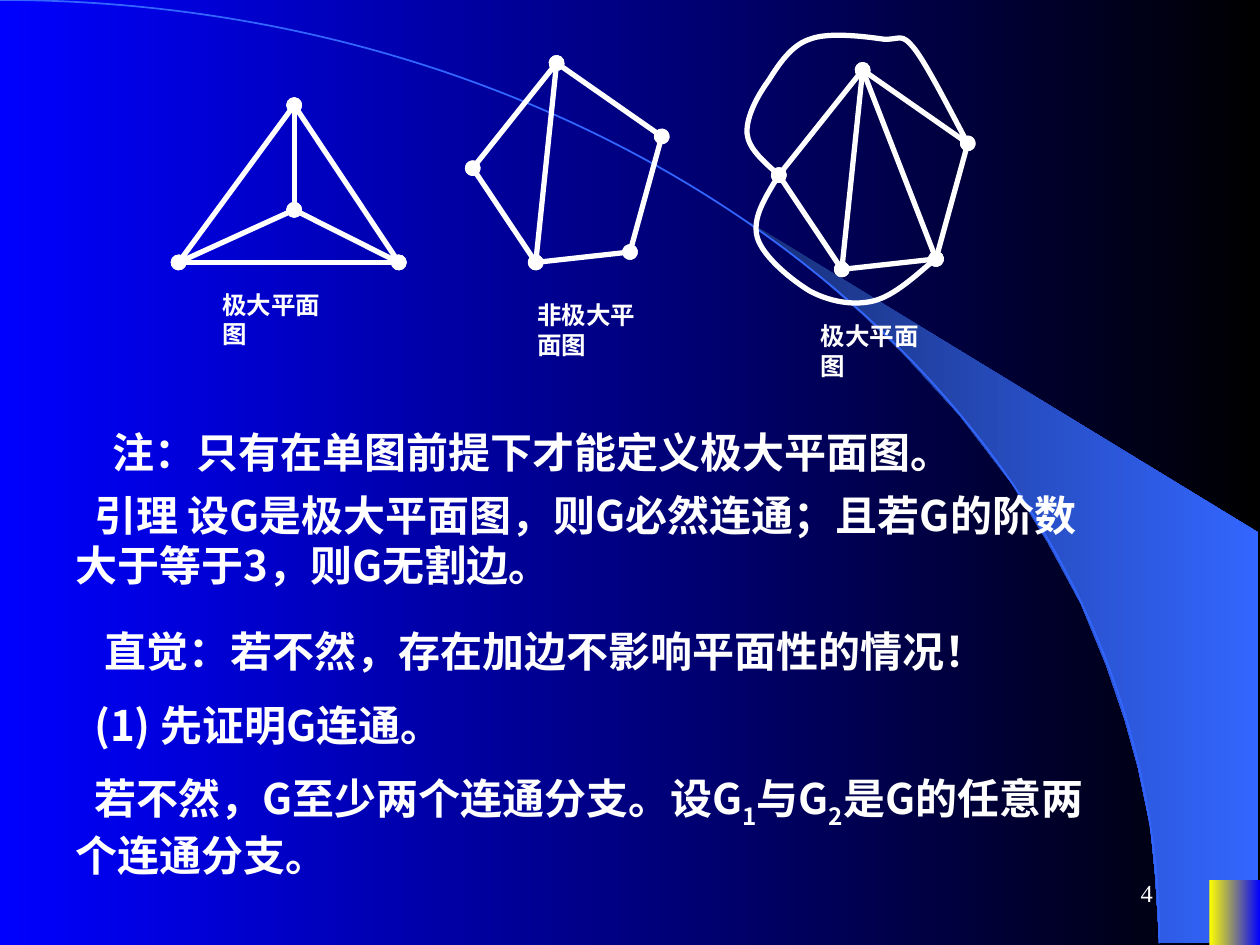
from lxml import etree
from pptx import Presentation
from pptx import util as u
from pptx.dml.color import RGBColor
from pptx.enum import shapes as kinds, text
from pptx.oxml.ns import qn

WHITE = "FFFFFF"
SANS, SERIF = "Noto Sans CJK SC", "Times New Roman"
rgb = RGBColor.from_string


def add_curve(shapes, start, segments, colour, width):
    """Draw an open chain of cubic Bezier segments, each (control, control, end)."""
    builder = shapes.build_freeform(u.Cm(start[0]), u.Cm(start[1]))
    builder.add_line_segments(
        [(u.Cm(x), u.Cm(y)) for segment in segments for x, y in segment], close=False)
    curve = builder.convert_to_shape()
    # Every three straight steps become one Bezier segment
    steps = list(curve._element.iter(qn("a:lnTo")))
    for i in range(0, len(steps), 3):
        bezier = etree.Element(qn("a:cubicBezTo"))
        steps[i].addprevious(bezier)
        for step in steps[i:i + 3]:
            bezier.append(step[0])
            step.getparent().remove(step)
    curve.shadow.inherit = False
    curve.fill.background()
    curve.line.fill.solid()
    curve.line.fill.fore_color.rgb = rgb(colour)
    curve.line.width = u.Pt(width)
    return curve


def add_text(shapes, box, runs, size, font, bold=True, indent=0):
    """Add one paragraph; every second run is a subscript."""
    frame = shapes.add_textbox(*map(u.Cm, box)).text_frame
    frame.word_wrap = True
    paragraph = frame.paragraphs[0]
    if indent:
        paragraph._p.get_or_add_pPr().set("indent", str(u.Cm(indent)))
    for i, wording in enumerate(runs):
        run = paragraph.add_run()
        run.text = wording
        if i % 2:
            run.font._element.set("baseline", "-25000")
    paragraph.font.size = u.Pt(size)
    paragraph.font.name = font
    paragraph.font.bold = bold
    paragraph.font.color.rgb = rgb(WHITE)
    return frame


prs = Presentation()
prs.slide_width, prs.slide_height = u.Cm(25.4), u.Cm(19.05)
slide = prs.slides.add_slide(prs.slide_layouts[6])

# Backdrop: a band behind a large arc, and a corner block
band_outline = [
    (23.37, 19), (25.37, 19.02), (25.37, 10.74), (14.96, 4.39), (15.85, 5.05),
    (16.59, 5.64), (17.4, 6.35), (18.19, 7.11), (19.35, 8.38), (20.4, 9.75),
    (21.13, 10.95), (21.79, 12.17), (22.3, 13.41), (22.68, 14.53),
    (22.94, 15.47), (23.19, 16.66), (23.29, 17.68),
]
band_corners = [(u.Cm(x), u.Cm(y)) for x, y in band_outline]
band_builder = slide.shapes.build_freeform(*band_corners[0])
band_builder.add_line_segments(band_corners[1:])
band = band_builder.convert_to_shape()
add_curve(slide.shapes, (0, 0), [((12.9, 0), (23.37, 8.51), (23.37, 19.02))], "3366FF", 1)
corner = slide.shapes.add_shape(kinds.MSO_SHAPE.RECTANGLE, u.Cm(24.38), u.Cm(17.74),
                                u.Cm(1.02), u.Cm(1.31))
for part in (band, corner):
    part.shadow.inherit = False
    part.line.fill.background()
for fill, colours in (
    (slide.background.fill, ("0000FF", "000000")),
    (band.fill, ("182F76", "3366FF")),
    (corner.fill, ("FFFF00", "0000FF")),
):
    fill.gradient()
    fill.gradient_angle = 0
    for stop, colour in zip(fill.gradient_stops, colours):
        stop.color.rgb = rgb(colour)

page_number = add_text(slide.shapes, (18.21, 17.36, 5.28, 1.27), ["4"], 14, SERIF, bold=False)
page_number.vertical_anchor = text.MSO_ANCHOR.MIDDLE
page_number.paragraphs[0].alignment = text.PP_ALIGN.RIGHT

# Statements: left, top, height, first-line indent, font, runs
statements = [
    (1.06, 8.47, 1.27, 0.95, SERIF, ["注：只有在单图前提下才能定义极大平面图。"]),
    (1.27, 9.74, 2.29, 0.38, SANS,
     ["引理 设G是极大平面图，则G必然连通；且若G的阶数大于等于3，则G无割边。"]),
    (1.48, 12.49, 1.27, 0.38, SANS, ["直觉：若不然，存在加边不影响平面性的情况！"]),
    (1.27, 13.97, 1.27, 0.38, SANS, ["(1) 先证明G连通。"]),
    (1.27, 15.45, 2.44, 0.38, SANS,
     ["若不然，G至少两个连通分支。设G", "1", "与G", "2", "是G的任意两个连通分支。"]),
]
for left, top, height, indent, font, runs in statements:
    add_text(slide.shapes, (left, top, 21.39, height), runs, 24, font, indent=indent)

# Three graphs: vertices, dotted edges, plain edges, caption and its corner
tetrahedron = {"A": (5.93, 2.12), "B": (3.6, 5.29), "C": (8.04, 5.29), "D": (5.93, 4.23)}
pentagon = {"A": (11.22, 1.27), "B": (9.53, 3.39), "C": (10.8, 5.29),
            "D": (13.34, 2.75), "E": (12.7, 5.08)}
shifted_pentagon = {name: (x + 6.17, y + 0.14) for name, (x, y) in pentagon.items()}
pentagon_edges = "AB BC AD DE CE AC"
graphs = [
    (tetrahedron, "AB AC BC AD DB DC", "", "极大平面图", (4.23, 5.72)),
    (pentagon, pentagon_edges, "", "非极大平面图", (10.58, 5.93)),
    (shifted_pentagon, pentagon_edges, "AE", "极大平面图", (16.3, 6.35)),
]
dotted = []
for vertices, dotted_edges, plain_edges, caption, caption_corner in graphs:
    graph = slide.shapes.add_group_shape()
    for start, end in (dotted_edges + " " + plain_edges).split():
        edge = graph.shapes.add_connector(
            kinds.MSO_CONNECTOR.STRAIGHT, *map(u.Cm, vertices[start] + vertices[end]))
        edge.line.fill.solid()
        edge.line.fill.fore_color.rgb = rgb(WHITE)
        edge.line.width = u.Pt(3)
        etree.SubElement(edge._element.spPr, qn("a:effectLst"))
        if start + end not in plain_edges:
            dotted.append(edge)
    add_text(graph.shapes, (*caption_corner, 2.59, 1.45), [caption], 14, SERIF)

# Outer edges of the last graph
lower_loop = [
    ((15.44, 3.96), (15.16, 4.42), (15.27, 4.8)),
    ((15.39, 5.18), (15.95, 5.64), (16.33, 5.87)),
    ((16.71, 6.07), (17.17, 6.17), (17.6, 6.07)),
    ((18.03, 5.97), (18.67, 5.36), shifted_pentagon["E"]),
]
upper_loop = [
    ((15.39, 3.25), (15.09, 3), (15.06, 2.69)),
    ((15.04, 2.36), (15.27, 1.93), (15.49, 1.63)),
    ((15.7, 1.3), (15.95, 0.91), (16.33, 0.79)),
    ((16.71, 0.64), (17.45, 0.74), (17.81, 0.79)),
    ((18.16, 0.81), (18.16, 0.64), (18.44, 0.99)),
    ((18.72, 1.35), (19.33, 2.57), shifted_pentagon["D"]),
]
dotted.append(add_curve(graph.shapes, shifted_pentagon["B"], lower_loop, WHITE, 3))
add_curve(graph.shapes, shifted_pentagon["B"], upper_loop, WHITE, 3)
for edge in dotted:
    outline = edge._element.spPr.find(qn("a:ln"))
    for end in ("a:headEnd", "a:tailEnd"):
        etree.SubElement(outline, qn(end), type="oval")

prs.save("out.pptx")
